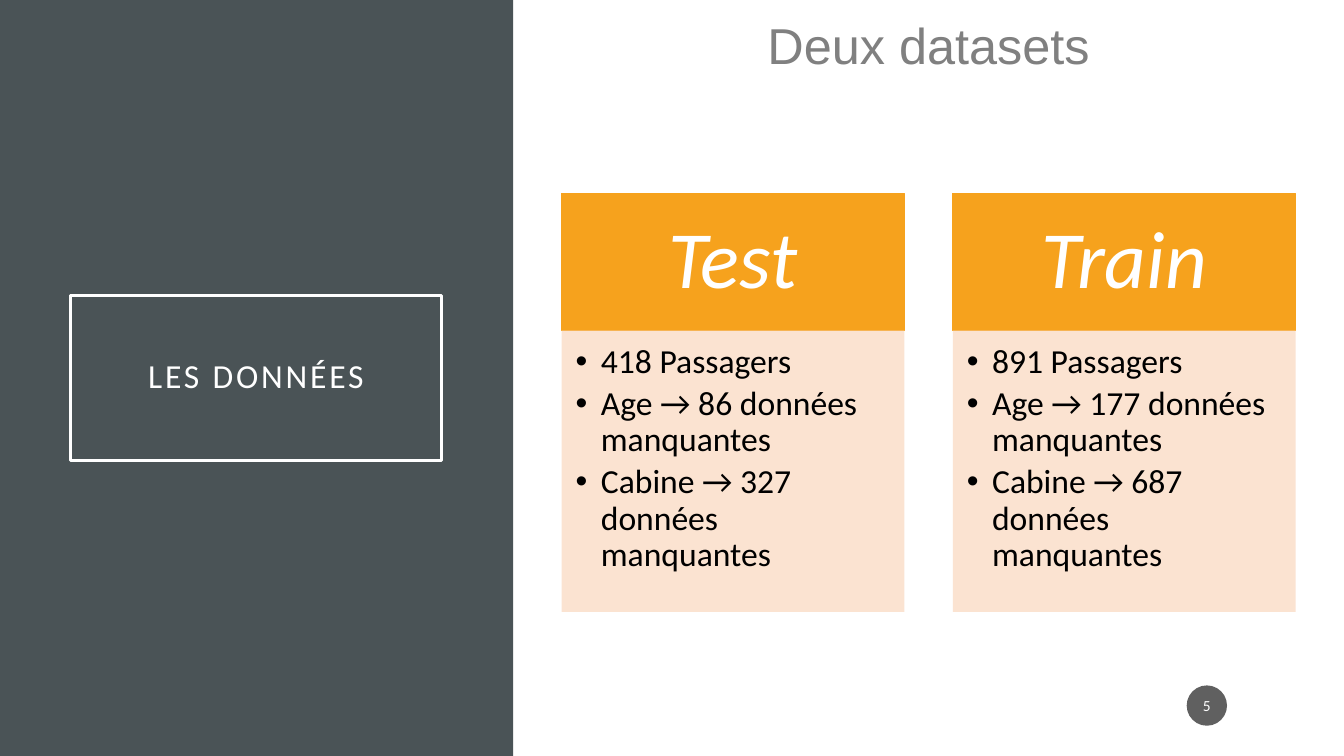
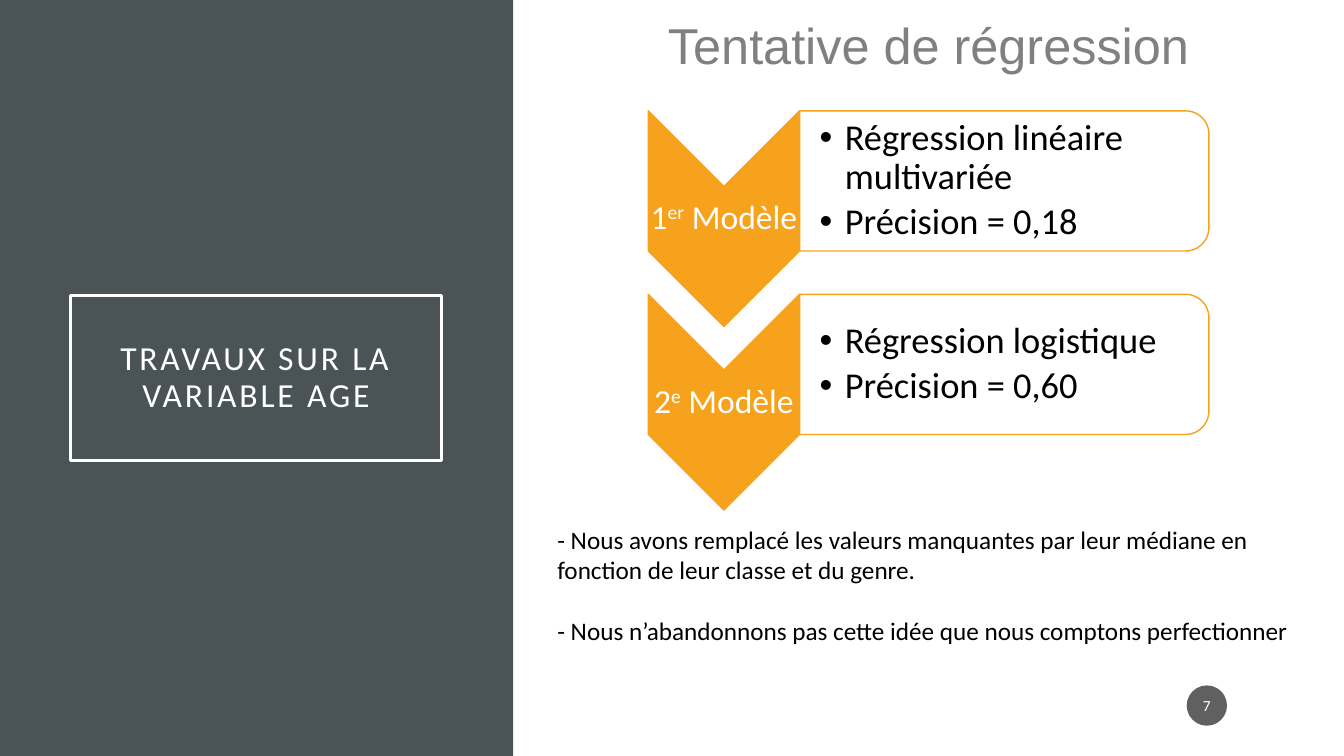
from lxml.etree import SubElement
from pptx import Presentation
from pptx.dml.color import RGBColor
from pptx.enum.shapes import MSO_SHAPE as Shape
from pptx.enum.text import MSO_ANCHOR as Anchor, MSO_AUTO_SIZE as AutoSize, PP_ALIGN as Align
from pptx.oxml.ns import qn
from pptx.util import Inches, Pt

COLORS = {
    "band": "4A5356", "accent": "F6A21D", "tint": "FBE0CD", "heading": "808080",
    "badge": "1D1D1D", "white": "FFFFFF", "black": "000000",
}
WIDTH, HEIGHT = 13.33, 7.5
BAND_WIDTH = 5.09

DATASETS = {
    "section": "LES DONNÉES",
    "heading": "Deux datasets",
    "number": "5",
    "cards": [
        ("Test", ["418 Passagers", "Age → 86 données manquantes",
                  "Cabine → 327 données manquantes"]),
        ("Train", ["891 Passagers", "Age → 177 données manquantes",
                   "Cabine → 687 données manquantes"]),
    ],
}
REGRESSION = {
    "section": "TRAVAUX SUR LA VARIABLE AGE",
    "heading": "Tentative de régression",
    "number": "7",
    "models": [
        ("1^er^ Modèle", ["Régression linéaire multivariée", "Précision = 0,18"]),
        ("2^e^ Modèle", ["Régression logistique", "Précision = 0,60"]),
    ],
    "notes": [
        "- Nous avons remplacé les valeurs manquantes par leur médiane en "
        "fonction de leur classe et du genre.",
        "- Nous n’abandonnons pas cette idée que nous comptons perfectionner",
    ],
}


def rgb(name):
    return RGBColor.from_string(COLORS[name])


def write(shape, paragraphs, size, color="black", font="Calibri", align=Align.LEFT,
          anchor=Anchor.TOP, insets=(0.1, 0.05, 0.1, 0.05), line_spacing=0.9, gap=0,
          bullets=False, italic=False, tracking=0, wrap=True, auto_size=AutoSize.NONE):
    """Write paragraphs into a shape; text between carets is superscript."""
    frame = shape.text_frame
    frame.word_wrap, frame.auto_size, frame.vertical_anchor = wrap, auto_size, anchor
    frame.margin_left, frame.margin_top, frame.margin_right, frame.margin_bottom = map(Inches, insets)
    for index, text in enumerate(paragraphs):
        paragraph = frame.add_paragraph() if index else frame.paragraphs[0]
        paragraph.alignment, paragraph.line_spacing = align, line_spacing
        paragraph.space_before = Pt(gap if index else 0)
        if bullets:
            properties = paragraph._p.get_or_add_pPr()
            properties.set("marL", str(Inches(0.25)))
            properties.set("indent", str(-Inches(0.25)))
            SubElement(properties, qn("a:buFont"), typeface="Arial")
            SubElement(properties, qn("a:buChar"), char="•")
        for part, piece in enumerate(text.split("^")):
            run = paragraph.add_run()
            run.text = piece
            run.font.name, run.font.size, run.font.italic = font, Pt(size), italic
            run.font.color.rgb = rgb(color)
            if tracking:
                run._r.get_or_add_rPr().set("spc", str(tracking * 100))
            if part % 2:
                run._r.get_or_add_rPr().set("baseline", "30000")


def add_box(slide, kind, left, top, width, height, fill, line=None, opacity=100, turned=False):
    if turned:
        left, top = left + (width - height) / 2, top + (height - width) / 2
        width, height = height, width
    shape = slide.shapes.add_shape(kind, *map(Inches, (left, top, width, height)))
    shape.shadow.inherit = False
    shape.rotation = 90 if turned else 0
    shape.fill.solid()
    shape.fill.fore_color.rgb = rgb(fill)
    if opacity < 100:
        color = shape._element.spPr.find(qn("a:solidFill"))[0]
        SubElement(color, qn("a:alpha"), val=str(opacity * 1000))
    if line:
        shape.line.color.rgb = rgb(line)
        shape.line.width = Pt(1)
    else:
        shape.line.fill.background()
    return shape


def add_text(slide, left, top, width, height, paragraphs, **style):
    box = slide.shapes.add_textbox(*map(Inches, (left, top, width, height)))
    write(box, paragraphs, **style)


def add_section_slide(presentation, content):
    slide = presentation.slides.add_slide(presentation.slide_layouts[5])
    add_box(slide, Shape.RECTANGLE, 0, 0, BAND_WIDTH, HEIGHT, "band")
    title = slide.shapes.title
    slide.shapes._spTree.append(title._element)
    title.left, title.top, title.width, title.height = map(Inches, (0.7, 2.93, 3.68, 1.64))
    title.line.color.rgb = rgb("white")
    title.line.width = Pt(2.5)
    write(title, [content["section"]], size=24, color="white", align=Align.CENTER,
          anchor=Anchor.MIDDLE, insets=[0.2] * 4, tracking=2)
    add_text(slide, BAND_WIDTH, 0.09, WIDTH - BAND_WIDTH, 0.71, [content["heading"]],
             size=36, font="Arial", color="heading", align=Align.CENTER,
             line_spacing=1, auto_size=AutoSize.SHAPE_TO_FIT_TEXT)
    badge = add_box(slide, Shape.OVAL, 11.77, 6.8, 0.4, 0.4, "badge", opacity=70)
    write(badge, [content["number"]], size=11, color="white", align=Align.CENTER,
          anchor=Anchor.MIDDLE, insets=(0.02, 0.05, 0.02, 0.05), line_spacing=1)
    return slide


def add_cards(slide, cards):
    left, top, width, gap = 5.57, 1.92, 3.4, 0.48
    header_height, body_height = 1.36, 2.79
    for column, (name, facts) in enumerate(cards):
        x = left + column * (width + gap)
        header = add_box(slide, Shape.RECTANGLE, x, top, width, header_height, "accent", "accent")
        write(header, [name], size=58, color="white", italic=True, align=Align.CENTER,
              anchor=Anchor.MIDDLE, insets=(0.45, 0.26, 0.45, 0.26))
        body = add_box(slide, Shape.RECTANGLE, x, top + header_height, width, body_height,
                       "tint", opacity=90)
        write(body, facts, size=24, bullets=True, gap=4, insets=(0.14, 0.14, 0.19, 0.21))


def add_models(slide, models):
    left, top, pitch = 6.43, 1.1, 1.82
    arrow_width, arrow_height = 1.5, 2.14
    panel_width, panel_height, label_height = 4.06, 1.39, 0.64
    panel_left = left + arrow_width
    for row, (name, facts) in enumerate(models):
        y = top + row * pitch
        add_box(slide, Shape.CHEVRON, left, y, arrow_width, arrow_height,
                "accent", "accent", turned=True)
        add_text(slide, left, y + (arrow_height - label_height) / 2, arrow_width, label_height,
                 [name], size=24, color="white", align=Align.CENTER,
                 anchor=Anchor.MIDDLE, insets=[0.02] * 4, wrap=False)
        add_box(slide, Shape.ROUND_2_SAME_RECTANGLE, panel_left, y, panel_width, panel_height,
                "white", "accent", turned=True)
        add_text(slide, panel_left, y, panel_width, panel_height, facts, size=26, bullets=True,
                 gap=4, anchor=Anchor.MIDDLE, insets=(0.2, 0.02, 0.02, 0.02))


def main():
    presentation = Presentation()
    presentation.slide_width, presentation.slide_height = Inches(WIDTH), Inches(HEIGHT)
    add_cards(add_section_slide(presentation, DATASETS), DATASETS["cards"])
    slide = add_section_slide(presentation, REGRESSION)
    add_models(slide, REGRESSION["models"])
    add_text(slide, 5.43, 5.15, 7.6, 1.31, REGRESSION["notes"], size=18, line_spacing=1,
             gap=22, auto_size=AutoSize.SHAPE_TO_FIT_TEXT)
    presentation.save("out.pptx")


if __name__ == "__main__":
    main()
